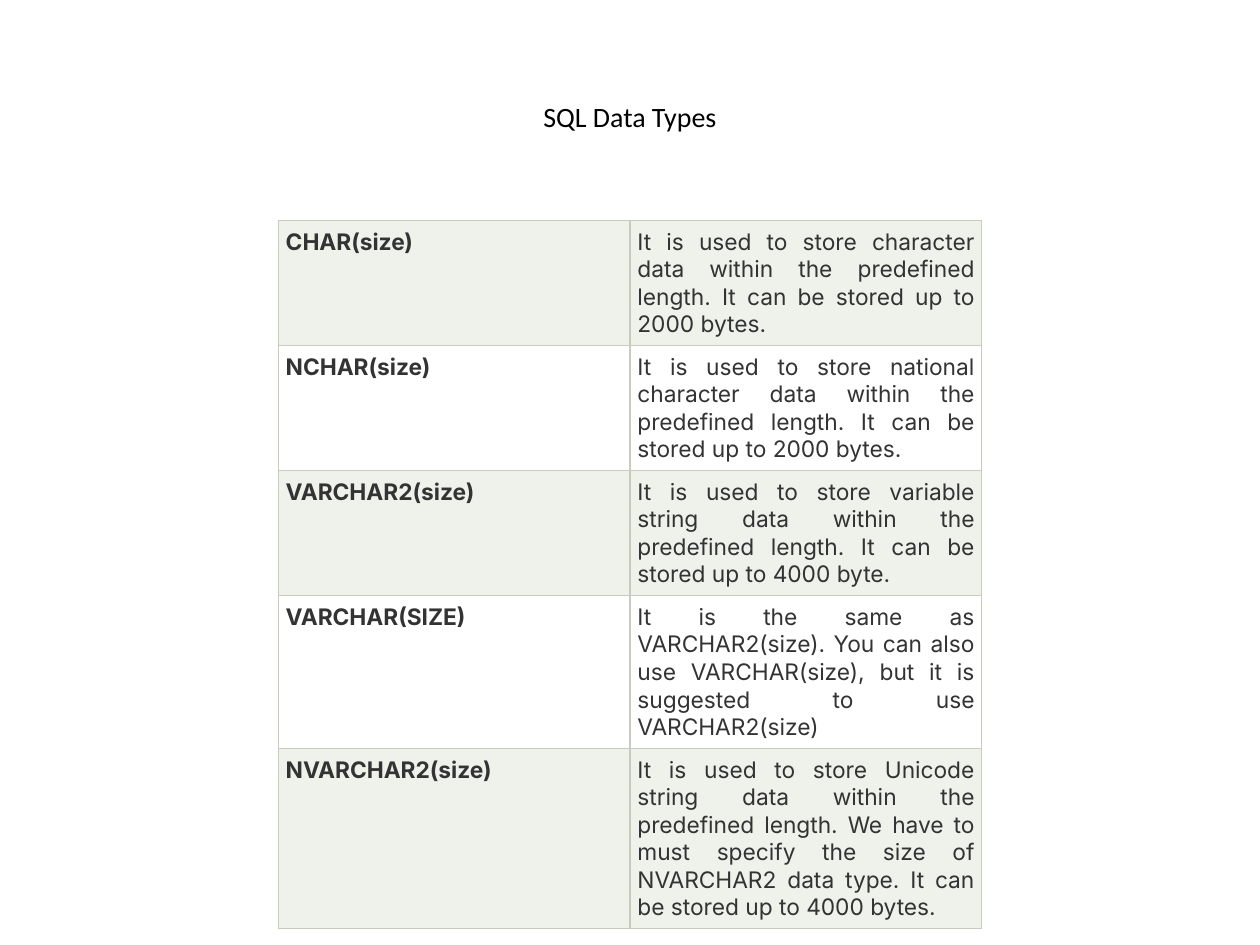
from lxml.etree import SubElement
from pptx import Presentation
from pptx.dml.color import RGBColor
from pptx.enum.text import MSO_ANCHOR, PP_ALIGN
from pptx.oxml.ns import qn
from pptx.util import Cm, Pt

BLACK = RGBColor(0x00, 0x00, 0x00)
WHITE = RGBColor(0xFF, 0xFF, 0xFF)
TEXT = RGBColor(0x33, 0x33, 0x33)
BAND = RGBColor(0xEF, 0xF1, 0xEB)
BORDER = RGBColor(0xC7, 0xCC, 0xBE)

DATA_TYPES = [
    ("CHAR(size)", 1.96,
     "It is used to store character data within the predefined length. "
     "It can be stored up to 2000 bytes."),
    ("NCHAR(size)", 2.51,
     "It is used to store national character data within the predefined length. "
     "It can be stored up to 2000 bytes."),
    ("VARCHAR2(size)", 1.96,
     "It is used to store variable string data within the predefined length. "
     "It can be stored up to 4000 byte."),
    ("VARCHAR(SIZE)", 3.07,
     "It is the same as VARCHAR2(size). You can also use VARCHAR(size), "
     "but it is suggested to use VARCHAR2(size)"),
    ("NVARCHAR2(size)", 3.07,
     "It is used to store Unicode string data within the predefined length. "
     "We have to must specify the size of NVARCHAR2 data type. "
     "It can be stored up to 4000 bytes."),
]


def set_borders(cell):
    tc_pr = cell._tc.get_or_add_tcPr()
    for side in ("a:lnL", "a:lnR", "a:lnT", "a:lnB"):
        ln = SubElement(tc_pr, qn(side), w=str(Pt(0.75)))
        fill = SubElement(ln, qn("a:solidFill"))
        SubElement(fill, qn("a:srgbClr"), val=str(BORDER))


def fill_cell(cell, text, bold, color):
    set_borders(cell)
    cell.fill.solid()
    cell.fill.fore_color.rgb = color
    cell.margin_left = cell.margin_right = Cm(0.15)
    cell.margin_top = cell.margin_bottom = Cm(0.15)
    cell.text = text
    p = cell.text_frame.paragraphs[0]
    p.alignment = PP_ALIGN.JUSTIFY
    p.font.name = "Inter"
    p.font.size = Pt(13)
    p.font.bold = bold
    p.font.color.rgb = TEXT


def add_title(s, left, top, width, height):
    sp = s.shapes.title
    sp.left, sp.top, sp.width, sp.height = left, top, width, height
    tf = sp.text_frame
    tf.text = "SQL Data Types"
    tf.vertical_anchor = MSO_ANCHOR.MIDDLE
    p = tf.paragraphs[0]
    p.alignment = PP_ALIGN.CENTER
    p.font.name = "Calibri"
    p.font.size = Pt(16)
    p.font.color.rgb = BLACK


def add_type_table(s, left, top, width, height):
    table = s.shapes.add_table(len(DATA_TYPES), 2, left, top, width, height).table
    table.first_row = False
    table.horz_banding = False
    for col in table.columns:
        col.width = width // 2
    for i, (name, row_height, description) in enumerate(DATA_TYPES):
        table.rows[i].height = Cm(row_height)
        color = WHITE if i % 2 else BAND
        fill_cell(table.cell(i, 0), name, True, color)
        fill_cell(table.cell(i, 1), description, False, color)


def main():
    prs = Presentation()
    prs.slide_width, prs.slide_height = Cm(25.4), Cm(19.05)
    s = prs.slides.add_slide(prs.slide_layouts[5])
    add_title(s, Cm(1.27), Cm(0.76), Cm(22.86), Cm(3.18))
    table_width = Cm(14.18)
    table_height = Cm(sum(row[1] for row in DATA_TYPES))
    add_type_table(s, (prs.slide_width - table_width) // 2, Cm(4.45),
                   table_width, table_height)
    prs.save("out.pptx")


if __name__ == "__main__":
    main()
